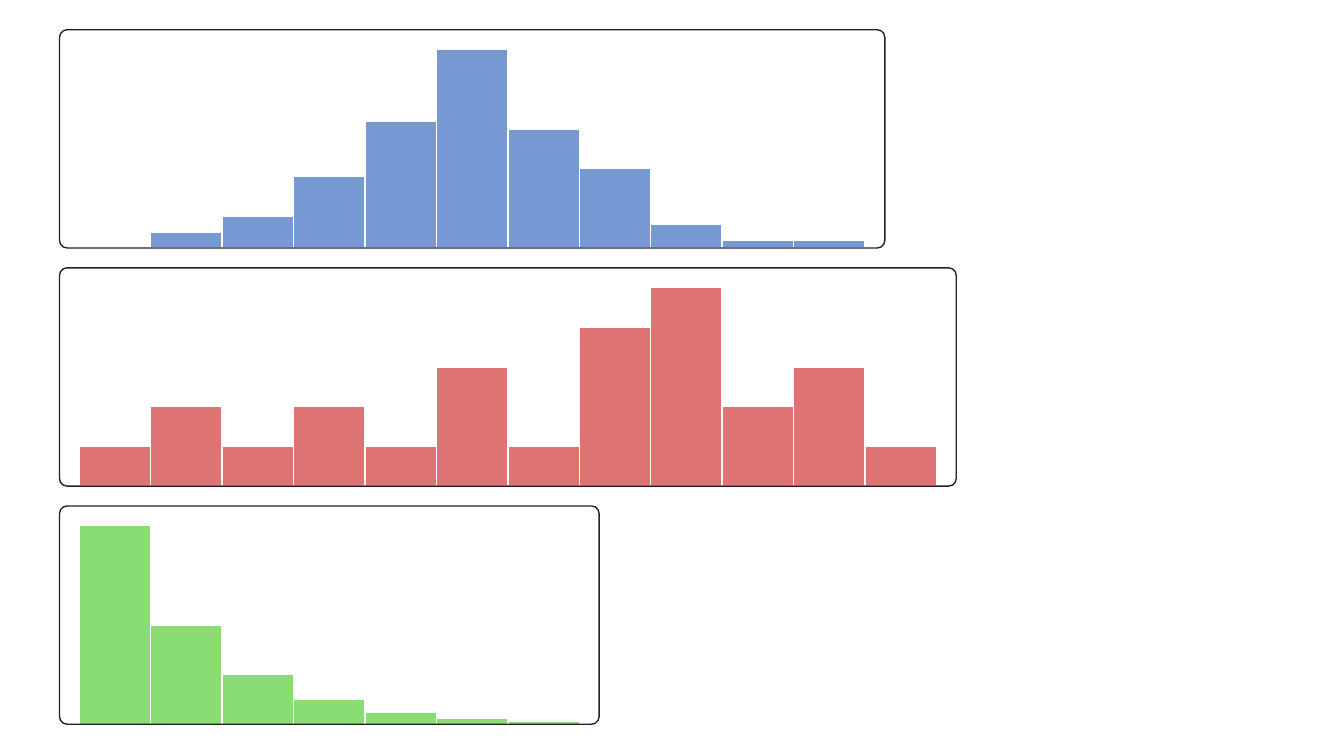
from dataclasses import dataclass

from pptx import Presentation
from pptx.dml.color import RGBColor
from pptx.enum.shapes import MSO_SHAPE
from pptx.util import Cm, Pt


@dataclass(frozen=True)
class Theme:
    blue: str = "7699D4"
    red: str = "DD7373"
    green: str = "89DD73"
    bar_edge: str = "FFFFFF"
    frame_edge: str = "222222"
    line_width: float = 1


theme = Theme()

# Layout in centimetres
FRAME_LEFT, FIRST_TOP = 1.5, 0.75
FRAME_HEIGHT, FRAME_PITCH = 5.5, 6
PADDING = 0.5
BAR_WIDTH, TALLEST_BAR = 1.8, 5
FRAME_ROUNDING = 0.035

# Bar colour and count in each bin, from the top histogram down
histograms = [
    (theme.blue, [0, 2, 4, 9, 16, 25, 15, 10, 3, 1, 1]),
    (theme.red, [1, 2, 1, 2, 1, 3, 1, 4, 5, 2, 3, 1]),
    (theme.green, [64, 32, 16, 8, 4, 2, 1]),
]


def add_box(shapes, left, top, width, height, edge, fill=None, rounding=0):
    """Add an outlined rectangle, measured in centimetres; no fill by default."""
    box = shapes.add_shape(
        MSO_SHAPE.ROUNDED_RECTANGLE, Cm(left), Cm(top), Cm(width), Cm(height)
    )
    box.adjustments[0] = rounding
    box.shadow.inherit = False
    if fill:
        box.fill.solid()
        box.fill.fore_color.rgb = RGBColor.from_string(fill)
    else:
        box.fill.background()
    box.line.color.rgb = RGBColor.from_string(edge)
    box.line.width = Pt(theme.line_width)


presentation = Presentation()
presentation.slide_width = Cm(33.87)
presentation.slide_height = Cm(19.05)
slide = presentation.slides.add_slide(presentation.slide_layouts[6])

for row, (color, counts) in enumerate(histograms):
    top = FIRST_TOP + row * FRAME_PITCH
    baseline = top + FRAME_HEIGHT
    bars = slide.shapes.add_group_shape()
    for column, count in enumerate(counts):
        left = FRAME_LEFT + PADDING + column * BAR_WIDTH
        height = TALLEST_BAR * count / max(counts)
        add_box(bars.shapes, left, baseline - height, BAR_WIDTH, height,
                theme.bar_edge, fill=color)
    frame_width = len(counts) * BAR_WIDTH + 2 * PADDING
    add_box(slide.shapes, FRAME_LEFT, top, frame_width, FRAME_HEIGHT,
            theme.frame_edge, rounding=FRAME_ROUNDING)

presentation.save("out.pptx")
